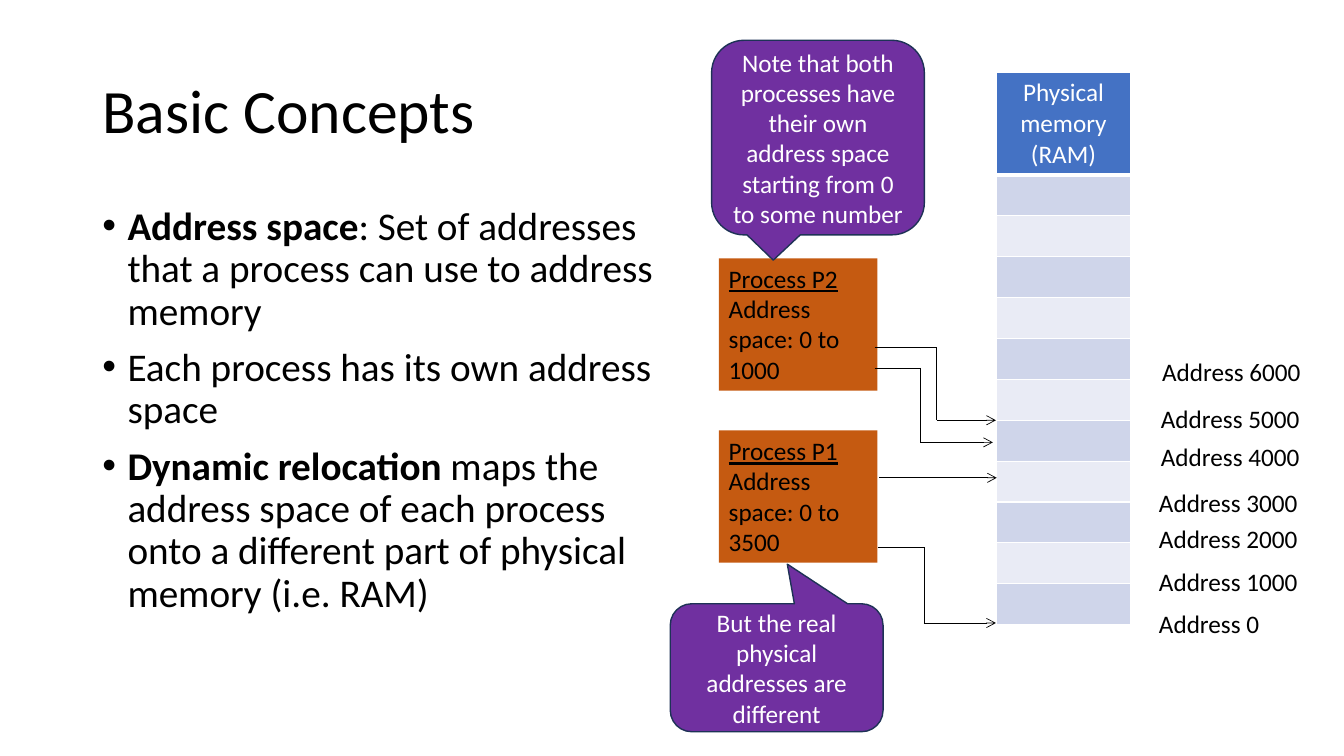
import pptx
import pptx.util
import pptx.dml.color
import pptx.enum.shapes
import pptx.enum.text
import pptx.oxml
import pptx.oxml.ns
from lxml import etree

Pt = pptx.util.Pt
RGBColor = pptx.dml.color.RGBColor
SHAPE = pptx.enum.shapes.MSO_SHAPE
ALIGN = pptx.enum.text.PP_ALIGN
ANCHOR = pptx.enum.text.MSO_ANCHOR
qn = pptx.oxml.ns.qn

BLACK = RGBColor(0x00, 0x00, 0x00)
WHITE = RGBColor(0xFF, 0xFF, 0xFF)
ORANGE = RGBColor(0xC5, 0x5A, 0x11)
PURPLE = RGBColor(0x70, 0x30, 0xA0)
NAVY = RGBColor(0x1E, 0x32, 0x56)
HEADER_BLUE = RGBColor(0x44, 0x72, 0xC4)
BANDS = [RGBColor(0xCF, 0xD5, 0xEA), RGBColor(0xE9, 0xEB, 0xF5)]
FONT = "Calibri"

# Content
TITLE = "Basic Concepts"
# Each bullet: bold part, plain part
BULLETS = [
    ("Address space", ": Set of addresses that a process can use to address memory"),
    ("", "Each process has its own address space"),
    ("Dynamic relocation", " maps the address space of each process onto a "
                           "different part of physical memory (i.e. RAM)"),
]
MEMORY_HEADER = "Physical memory (RAM)"
MEMORY_CELLS = 11
# Name, address space, top
PROCESSES = [
    ("Process P2", "Address space: 0 to 1000", 184.5),
    ("Process P1", "Address space: 0 to 3500", 307.5),
]
# Address, left, top
ADDRESSES = [
    (0, 820.8, 430.6), (1000, 820.8, 401), (2000, 820.8, 370), (3000, 820.8, 344.2),
    (4000, 822.2, 311.8), (5000, 822.2, 284.4), (6000, 823, 251.3),
]
# Corner points of each mapping from a process to memory
MAPPINGS = [
    [(627, 391), (660, 391), (660, 445), (711.4, 445)],
    [(628, 341.3), (712, 341.3)],
    [(625, 262.8), (657.4, 262.8), (657.4, 316), (709.2, 316)],
    [(625, 248.4), (669, 248.4), (669, 300.2), (711.4, 300.2)],
]
# Text, box, pointer tip as a share of the box from its centre
CALLOUTS = [
    ("Note that both processes have their own address space starting from 0 to some number",
     (508.3, 28.8, 152, 139), (-0.21, 0.63)),
    ("But the real physical addresses are different",
     (478.8, 431.3, 152, 91.4), (0.05, -0.81)),
]


def add_run(paragraph, text, size=18, color=BLACK, bold=None, underline=None):
    run = paragraph.add_run()
    run.text = text
    run.font.name = FONT
    run.font.size = Pt(size)
    run.font.color.rgb = color
    run.font.bold = bold
    run.font.underline = underline


def points(*lengths):
    return [Pt(length) for length in lengths]


def add_bullet(paragraph):
    properties = paragraph._p.get_or_add_pPr()
    properties.set("marL", str(Pt(18)))
    properties.set("indent", str(Pt(-18)))
    etree.SubElement(properties, qn("a:buFont"), typeface="Arial")
    etree.SubElement(properties, qn("a:buChar"), char="•")


def add_borders(cell, bottom=1):
    properties = cell._tc.get_or_add_tcPr()
    for side, width in (("lnL", 1), ("lnR", 1), ("lnT", 1), ("lnB", bottom)):
        border = etree.SubElement(properties, qn("a:" + side), w=str(Pt(width)))
        fill = etree.SubElement(border, qn("a:solidFill"))
        etree.SubElement(fill, qn("a:srgbClr"), val=str(WHITE))


def add_line(shapes, start, end, arrow):
    line = shapes.add_connector(pptx.enum.shapes.MSO_CONNECTOR.STRAIGHT,
                                *points(*start, *end))
    line.line.color.rgb = BLACK
    line.line.width = Pt(0.5)
    if arrow:
        etree.SubElement(line.line._get_or_add_ln(), qn("a:tailEnd"), type="arrow")
    etree.SubElement(line._element.spPr, qn("a:effectLst"))


def main():
    presentation = pptx.Presentation()
    presentation.slide_width, presentation.slide_height = points(960, 540)
    slide = presentation.slides.add_slide(presentation.slide_layouts[5])
    shapes = slide.shapes

    # Title
    title = shapes.title
    title.left, title.top, title.width, title.height = points(66, 28.8, 828, 104.4)
    title.text_frame.vertical_anchor = ANCHOR.MIDDLE
    heading = title.text_frame.paragraphs[0]
    heading.alignment = ALIGN.LEFT
    heading.line_spacing = 0.9
    add_run(heading, TITLE, 44)

    # Bullets
    concepts = shapes.add_textbox(*points(66, 144, 408, 342.7)).text_frame
    concepts.word_wrap = True
    for i, (term, explanation) in enumerate(BULLETS):
        paragraph = concepts.add_paragraph() if i else concepts.paragraphs[0]
        add_bullet(paragraph)
        paragraph.line_spacing = 0.9
        paragraph.space_before = Pt(10 if i else 0)
        if term:
            add_run(paragraph, term, 28, bold=True)
        add_run(paragraph, explanation, 28)

    # Physical memory
    header_height, cell_height = 73.2, 29.2
    memory = shapes.add_table(
        MEMORY_CELLS + 1, 1,
        *points(711.4, 51.8, 96.5, header_height + MEMORY_CELLS * cell_height)).table
    for i, row in enumerate(memory.rows):
        row.height = Pt(cell_height if i else header_height)
        cell = row.cells[0]
        add_borders(cell, bottom=1 if i else 3)
        cell.fill.solid()
        cell.fill.fore_color.rgb = BANDS[(i - 1) % 2] if i else HEADER_BLUE
    header = memory.cell(0, 0).text_frame.paragraphs[0]
    header.alignment = ALIGN.CENTER
    add_run(header, MEMORY_HEADER, color=WHITE)

    # Processes
    for name, space, top in PROCESSES:
        process = shapes.add_shape(SHAPE.RECTANGLE, *points(513.4, top, 113.3, 94.5))
        process.shadow.inherit = False
        process.fill.solid()
        process.fill.fore_color.rgb = ORANGE
        process.line.fill.background()
        frame = process.text_frame
        frame.word_wrap = True
        frame.vertical_anchor = ANCHOR.TOP
        name_line, space_line = frame.paragraphs[0], frame.add_paragraph()
        name_line.alignment = space_line.alignment = ALIGN.LEFT
        add_run(name_line, name, underline=True)
        add_run(space_line, space)

    # Address labels
    for address, left, top in ADDRESSES:
        label = shapes.add_textbox(*points(left, top, 128, 29)).text_frame
        label.word_wrap = True
        add_run(label.paragraphs[0], f"Address {address}")

    # Mappings, with an arrowhead on the last segment
    for corners in MAPPINGS:
        for start, end in zip(corners, corners[1:]):
            add_line(shapes, start, end, arrow=end == corners[-1])

    # Callouts
    for text, box, tip in CALLOUTS:
        callout = shapes.add_shape(SHAPE.ROUNDED_RECTANGULAR_CALLOUT, *points(*box))
        callout.shadow.inherit = False
        callout.adjustments[0], callout.adjustments[1] = tip
        callout.fill.solid()
        callout.fill.fore_color.rgb = PURPLE
        callout.line.color.rgb = NAVY
        callout.line.width = Pt(1)
        frame = callout.text_frame
        frame.word_wrap = True
        frame.vertical_anchor = ANCHOR.MIDDLE
        frame.paragraphs[0].alignment = ALIGN.CENTER
        add_run(frame.paragraphs[0], text, color=WHITE)

    presentation.save("out.pptx")


if __name__ == "__main__":
    main()
